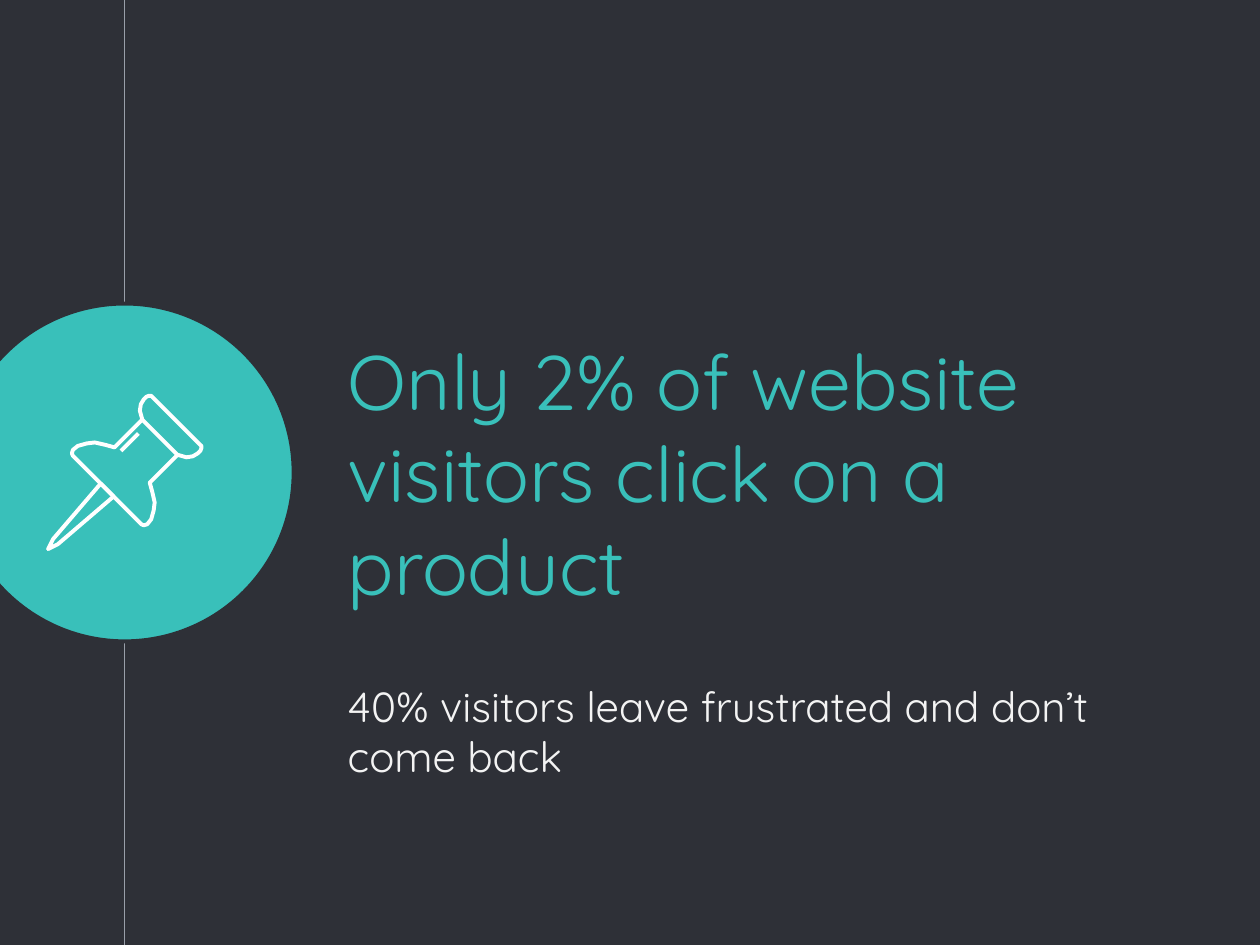
from pptx import Presentation
from pptx.dml.color import RGBColor
from pptx.enum.shapes import MSO_CONNECTOR as Conn, MSO_SHAPE as Kind
from pptx.enum.text import MSO_ANCHOR as Anchor, MSO_AUTO_SIZE as Auto, PP_ALIGN as Align
from pptx.oxml.ns import qn
from pptx.util import Cm, Pt
from lxml.etree import SubElement

DARK, TEAL, GREY = "2E3037", "39C0BA", "999FA9"
WHITE, PALE = "FFFFFF", "F3F3F3"
FONT = "Quicksand"

# One side of each pin part in cm; the other side is its mirror image.
AXIS = 12.04  # the pin's axis is the line x + y = AXIS
NEEDLE = [(2.03, 9.75), (1.07, 10.87), (0.97, 11.07)]
HEAD = [(2.87, 8.46), (2.82, 8.28), (2.84, 8.15), (2.9, 8.05),
        (2.95, 8), (3, 7.98), (3.05, 7.98), (3.07, 8)]
BODY = [(2.87, 8.46), (2.31, 9.02), (2.13, 8.97), (1.91, 8.92), (1.75, 8.94),
        (1.57, 8.99), (1.47, 9.07), (1.45, 9.14), (1.47, 9.19)]


def paint(item, color):
    """Give a fill, line or font colour from a hex string."""
    item.rgb = RGBColor.from_string(color)


def stroke(shape, color, width):
    """Set the outline of a shape or connector."""
    paint(shape.line.color, color)
    shape.line.width = Pt(width)


def add_line(slide, start, end, color, width):
    """Draw a straight line without a shadow."""
    line = slide.shapes.add_connector(
        Conn.STRAIGHT, *[Cm(v) for v in (*start, *end)])
    stroke(line, color, width)
    SubElement(line._element.spPr, qn("a:effectLst"))


def add_disc(slide, left, top, size):
    """Draw the round badge."""
    disc = slide.shapes.add_shape(
        Kind.OVAL, Cm(left), Cm(top), Cm(size), Cm(size))
    disc.shadow.inherit = False
    disc.fill.solid()
    paint(disc.fill.fore_color, TEAL)
    stroke(disc, DARK, 2.25)


def add_part(slide, half, close):
    """Draw a pin part from one side and its mirror image."""
    other = [(AXIS - y, AXIS - x) for x, y in reversed(half)]
    first, *rest = [(Cm(x), Cm(y)) for x, y in half + other]
    pen = slide.shapes.build_freeform(*first)
    pen.add_line_segments(rest, close=close)
    part = pen.convert_to_shape()
    part.shadow.inherit = False
    part.fill.background()
    stroke(part, WHITE, 2.25)


def set_text(box, place, text, size, color, anchor):
    """Place and format a placeholder."""
    box.left, box.top, box.width, box.height = [Cm(v) for v in place]
    frame = box.text_frame
    frame.text = text
    frame.word_wrap = True
    frame.auto_size = Auto.NONE
    frame.vertical_anchor = anchor
    frame.margin_left = frame.margin_right = Cm(0.25)
    frame.margin_top = frame.margin_bottom = Cm(0.25)
    para = frame.paragraphs[0]
    para.alignment = Align.LEFT
    para.space_before = Pt(0)
    font = para.runs[0].font
    font.name, font.size = FONT, Pt(size)
    paint(font.color, color)


def main():
    """Build the slide and save it."""
    deck = Presentation()
    deck.slide_width, deck.slide_height = Cm(25.4), Cm(19.05)
    slide = deck.slides.add_slide(deck.slide_layouts[0])
    slide.background.fill.solid()
    paint(slide.background.fill.fore_color, DARK)

    add_line(slide, (2.51, 0), (2.51, 19.05), GREY, 0.75)
    add_disc(slide, -0.89, 6.12, 6.81)
    set_text(slide.shapes.title, (6.76, 7.37, 18.16, 4.29),
             "Only 2% of website visitors click on a product",
             44, TEAL, Anchor.MIDDLE)
    set_text(slide.placeholders[1], (6.76, 13.46, 16.74, 2.9),
             "40% visitors leave frustrated and don’t come back",
             24, PALE, Anchor.TOP)
    for half, close in ((NEEDLE, True), (HEAD, True), (BODY, False)):
        add_part(slide, half, close)
    add_line(slide, (2.44, 9.09), (2.79, 8.74), WHITE, 2.25)
    deck.save("out.pptx")


main()
